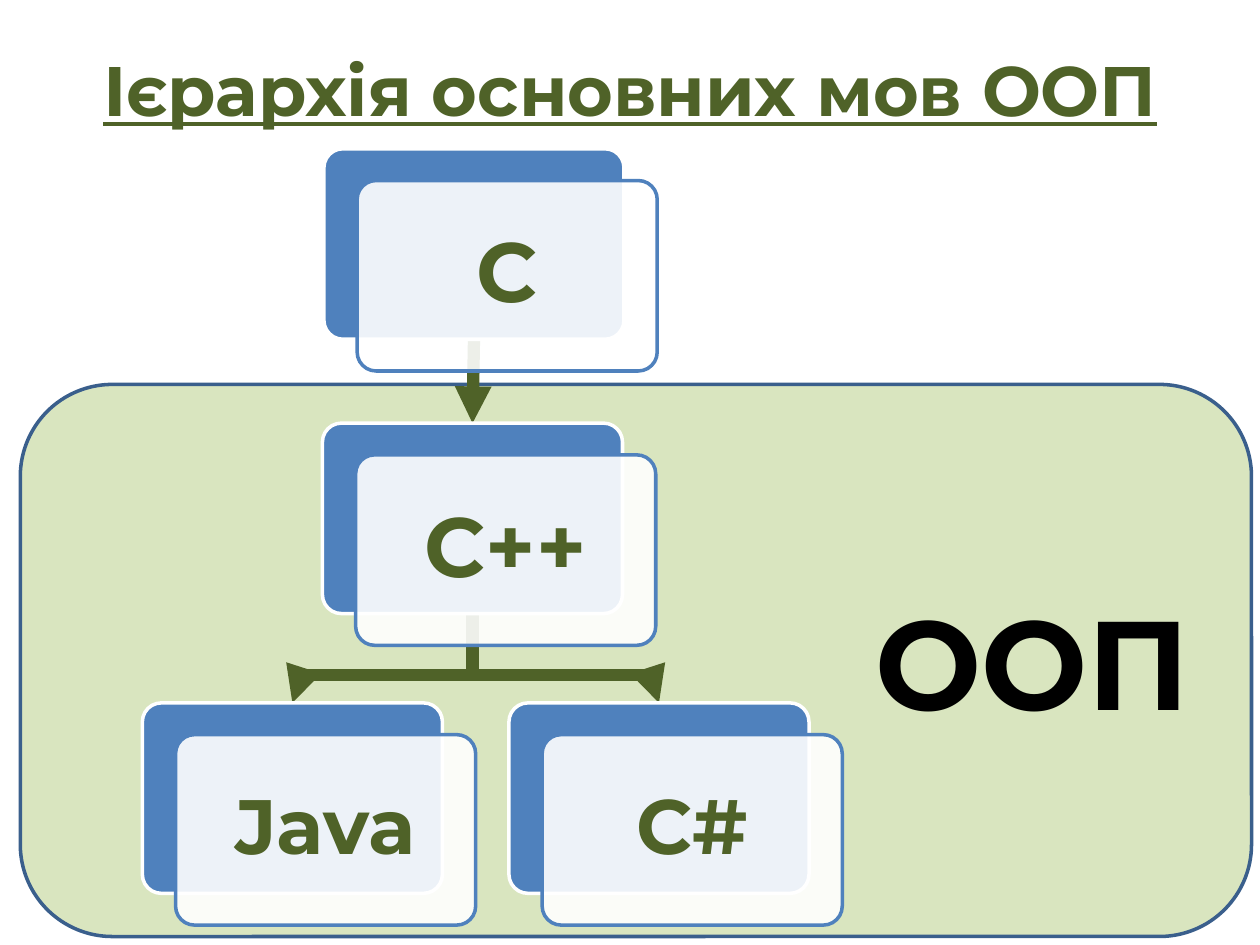
import dataclasses

import lxml.etree
import pptx
import pptx.dml.color
import pptx.enum.shapes
import pptx.enum.text
import pptx.oxml.ns
import pptx.util

Cm = pptx.util.Cm
qn = pptx.oxml.ns.qn


@dataclasses.dataclass(frozen=True)
class Theme:
    font: str = "Montserrat"
    green: str = "4F6228"
    blue: str = "4F81BD"
    white: str = "FFFFFF"
    black: str = "000000"
    panel: str = "C3D69B"
    panel_edge: str = "3A5F8C"
    title_size: int = 40
    parent_size: int = 48
    child_size: int = 44
    panel_size: int = 72
    edge: int = 2
    link: int = 7


THEME = Theme()
CARD_WIDTH, CARD_HEIGHT = 6.05, 3.84
CARD_SHIFT_X, CARD_SHIFT_Y = 0.67, 0.64
LINK_DROP = 0.56


def rgb(color):
    return pptx.dml.color.RGBColor.from_string(color)


def write(frame, text, size, color, align=pptx.enum.text.PP_ALIGN.CENTER, underline=None):
    frame.word_wrap = True
    frame.vertical_anchor = pptx.enum.text.MSO_ANCHOR.MIDDLE
    paragraph = frame.paragraphs[0]
    paragraph.alignment = align
    run = paragraph.add_run()
    run.text = text
    run.font.name = THEME.font
    run.font.size = pptx.util.Pt(size)
    run.font.bold = True
    run.font.underline = underline
    run.font.color.rgb = rgb(color)
    return paragraph


def add_title(slide, text):
    title = slide.shapes.add_textbox(Cm(0), Cm(0.2), Cm(25.4), Cm(3.18))
    write(title.text_frame, text, THEME.title_size, THEME.green, underline=True)


def add_rounded(slide, left, top, width, height, fill, edge, opacity=100):
    rounded = slide.shapes.add_shape(
        pptx.enum.shapes.MSO_SHAPE.ROUNDED_RECTANGLE,
        Cm(left), Cm(top), Cm(width), Cm(height))
    rounded.shadow.inherit = False
    rounded.fill.solid()
    rounded.fill.fore_color.rgb = rgb(fill)
    if opacity < 100:
        color = rounded.fill._xPr.find(qn("a:solidFill"))[0]
        lxml.etree.SubElement(color, qn("a:alpha")).set("val", str(opacity * 1000))
    rounded.line.color.rgb = rgb(edge)
    rounded.line.width = pptx.util.Pt(THEME.edge)
    return rounded


def add_panel(slide, text):
    panel = add_rounded(slide, 0.41, 7.75, 24.82, 11.13, THEME.panel, THEME.panel_edge, 63)
    panel.text_frame.margin_right = Cm(0.7)
    write(panel.text_frame, text, THEME.panel_size, THEME.black,
          pptx.enum.text.PP_ALIGN.RIGHT)


def add_card(slide, left, top, text, size):
    back = add_rounded(slide, left, top, CARD_WIDTH, CARD_HEIGHT, THEME.blue, THEME.white)
    front = add_rounded(slide, left + CARD_SHIFT_X, top + CARD_SHIFT_Y,
                        CARD_WIDTH, CARD_HEIGHT, THEME.white, THEME.blue, 90)
    for card in (back, front):
        card.adjustments[0] = 0.1
    write(front.text_frame, text, size, THEME.green).line_spacing = 0.9
    return back


def style_link(link):
    link.line.color.rgb = rgb(THEME.green)
    link.line.width = pptx.util.Pt(THEME.link)
    lxml.etree.SubElement(link.line._get_or_add_ln(), qn("a:tailEnd")).set("type", "triangle")


def add_branch(slide, parent, child):
    start_x, start_y = parent[0] + CARD_WIDTH / 2, parent[1] + CARD_HEIGHT
    end_x, end_y = child[0] + CARD_WIDTH / 2, child[1]
    bend_y = end_y - LINK_DROP
    builder = slide.shapes.build_freeform(Cm(start_x), Cm(start_y))
    builder.add_line_segments(
        [(Cm(x), Cm(y)) for x, y in ((start_x, bend_y), (end_x, bend_y), (end_x, end_y))],
        close=False)
    branch = builder.convert_to_shape()
    branch.fill.background()
    style_link(branch)
    branch.shadow.inherit = False


def add_arrow(slide):
    arrow = slide.shapes.add_connector(
        pptx.enum.shapes.MSO_CONNECTOR.STRAIGHT, Cm(0), Cm(0), Cm(0), Cm(0))
    style_link(arrow)
    lxml.etree.SubElement(arrow._element.spPr, qn("a:effectLst"))
    return arrow


def main():
    presentation = pptx.Presentation()
    presentation.slide_width, presentation.slide_height = Cm(25.4), Cm(19.05)
    slide = presentation.slides.add_slide(presentation.slide_layouts[6])
    c, cpp, java, csharp = (6.53, 3), (6.5, 8.53), (2.87, 14.17), (10.26, 14.17)

    add_panel(slide, "ООП")
    add_title(slide, "Ієрархія основних мов ООП")
    for child in (csharp, java):
        add_branch(slide, cpp, child)
    descent = add_arrow(slide)
    c_card = add_card(slide, *c, "С", THEME.parent_size)
    cpp_card = add_card(slide, *cpp, "С++", THEME.parent_size)
    add_card(slide, *java, "Java", THEME.child_size)
    add_card(slide, *csharp, "C#", THEME.child_size)
    descent.begin_connect(c_card, 2)
    descent.end_connect(cpp_card, 0)

    presentation.save("out.pptx")


if __name__ == "__main__":
    main()
